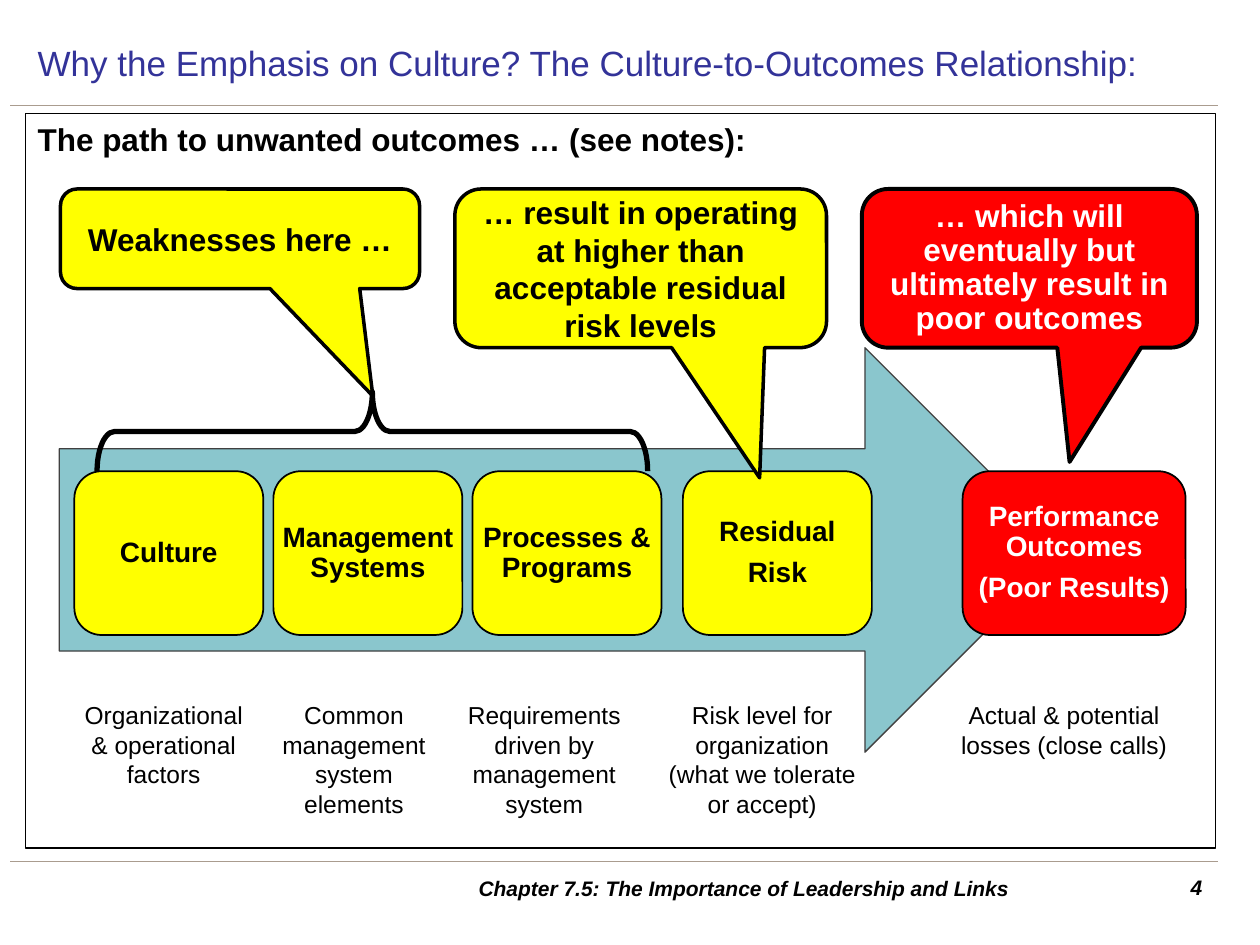
"""Build the culture-to-outcomes slide on a grid of 100 columns by 75 rows."""
from dataclasses import dataclass
from typing import Optional

from lxml.etree import SubElement
from pptx import Presentation
from pptx.dml.color import RGBColor
from pptx.enum.shapes import MSO_CONNECTOR as CONN, MSO_SHAPE as SHAPE
from pptx.enum.text import MSO_ANCHOR as ANCHOR, PP_ALIGN as ALIGN
from pptx.oxml.ns import qn
from pptx.util import Inches, Pt

CELL = Inches(0.1)


@dataclass(frozen=True)
class Theme:
    """Font, colours and type sizes."""
    font: str = "Arial"
    ink: str = "000000"
    white: str = "FFFFFF"
    title: str = "333399"
    rule: str = "AA9C8F"
    arrow: str = "8AC6CD"
    arrow_edge: str = "404040"
    cause: str = "FFFF00"
    outcome: str = "FF0000"
    title_pt: int = 20
    lead_pt: int = 18
    step_pt: int = 16
    caption_pt: int = 14
    footer_pt: int = 12


@dataclass(frozen=True)
class Box:
    """A frame in grid columns and rows."""
    col: float
    row: float
    cols: float
    rows: float

    def emu(self) -> list[int]:
        """Return left, top, width and height in EMU."""
        return [round(n * CELL) for n in (self.col, self.row, self.cols, self.rows)]


@dataclass(frozen=True)
class Style:
    """How a text is set, with its side margin in grid columns."""
    size: int
    color: str = Theme.ink
    bold: bool = False
    italic: bool = False
    align: ALIGN = ALIGN.CENTER
    anchor: ANCHOR = ANCHOR.MIDDLE
    tight: bool = False
    side: float = 1


@dataclass(frozen=True)
class Step:
    """A box on the arrow with the caption below it."""
    text: str
    col: float
    caption: str
    caption_col: float
    caption_cols: float
    cols: float = 15
    fill: str = Theme.cause
    color: str = Theme.ink


@dataclass(frozen=True)
class Callout:
    """A speech bubble whose tip is given as shares of its size."""
    text: str
    box: Box
    tip: tuple[float, float]
    fill: str = Theme.cause
    color: str = Theme.ink
    line: float = 2
    tight: bool = False
    side: float = 1


T = Theme()
STEPS = [
    Step("Culture", 5.9, "Organizational & operational factors", 5, 16),
    Step("Management Systems", 21.7, "Common management system elements", 20.1, 16),
    Step("Processes & Programs", 37.5, "Requirements driven by management system", 35.2, 16),
    Step("Residual\nRisk", 54.2,
         "Risk level for organization\n(what we tolerate or accept)", 51.2, 18.6),
    Step("Performance Outcomes\n(Poor Results)", 76.4,
         "Actual & potential losses (close calls)", 74.7, 19.5, 17.7, T.outcome, T.white),
]
CALLOUTS = [
    Callout("Weaknesses here …", Box(4.8, 15, 28.5, 7.9), (0.37, 1.58)),
    Callout("… result in operating at higher than acceptable residual risk levels",
            Box(36.1, 15, 29.5, 12.6), (0.32, 1.32)),
    Callout("… which will eventually but ultimately result in poor outcomes",
            Box(68.4, 15, 26.6, 12.6), (0.12, 1.22), T.outcome, T.white, 2.25, True, 0.4),
]


def set_text(sp, text: str, style: Style) -> None:
    """Write the paragraphs of a shape and format them."""
    tf = sp.text_frame
    tf.text = text
    tf.word_wrap = True
    tf.vertical_anchor = style.anchor
    tf.margin_left = tf.margin_right = round(style.side * CELL)
    if style.tight:
        tf.margin_top = tf.margin_bottom = round(0.4 * CELL)
    for p in tf.paragraphs:
        p.alignment = style.align
        if style.tight:
            p.line_spacing = 0.9
            p.space_after = Pt(0.4 * style.size)
        for r in p.runs:
            r.font.name, r.font.size = T.font, Pt(style.size)
            r.font.bold, r.font.italic = style.bold, style.italic
            r.font.color.rgb = RGBColor.from_string(style.color)


def add_text(slide, box: Box, text: str, style: Style) -> None:
    """Add a text box."""
    set_text(slide.shapes.add_textbox(*box.emu()), text, style)


def add_shape(slide, kind: SHAPE, box: Box, fill: Optional[str],
              line: float, edge: str = T.ink):
    """Add a preset shape with a plain outline and no shadow."""
    sp = slide.shapes.add_shape(kind, *box.emu())
    sp.shadow.inherit = False
    if fill:
        sp.fill.solid()
        sp.fill.fore_color.rgb = RGBColor.from_string(fill)
    else:
        sp.fill.background()
    sp.line.color.rgb = RGBColor.from_string(edge)
    sp.line.width = Pt(line)
    return sp


def add_rule(slide, row: float) -> None:
    """Add a horizontal rule across the slide."""
    left, top, width, _ = Box(0.8, row, 95.9, 0).emu()
    rule = slide.shapes.add_connector(CONN.STRAIGHT, left, top, left + width, top)
    rule.line.color.rgb = RGBColor.from_string(T.rule)
    rule.line.width = Pt(0.75)
    SubElement(rule._element.spPr, qn("a:effectLst"))


def add_step(slide, step: Step) -> None:
    """Add a step box and its caption."""
    sp = add_shape(slide, SHAPE.ROUNDED_RECTANGLE, Box(step.col, 37.4, step.cols, 13),
                   step.fill, 1)
    set_text(sp, step.text, Style(T.step_pt, step.color, bold=True, tight=True, side=0))
    add_text(slide, Box(step.caption_col, 55.1, step.caption_cols, 10.4), step.caption,
             Style(T.caption_pt, anchor=ANCHOR.TOP))


def add_callout(slide, callout: Callout) -> None:
    """Add a speech bubble."""
    sp = add_shape(slide, SHAPE.ROUNDED_RECTANGULAR_CALLOUT, callout.box,
                   callout.fill, callout.line)
    sp.adjustments[0], sp.adjustments[1] = callout.tip
    set_text(sp, callout.text, Style(T.lead_pt, callout.color, bold=True,
                                     tight=callout.tight, side=callout.side))


def main() -> None:
    """Build and save the slide."""
    prs = Presentation()
    prs.slide_width, prs.slide_height = 100 * CELL, 75 * CELL
    slide = prs.slides.add_slide(prs.slide_layouts[6])
    for row in (8.35, 68.35):
        add_rule(slide, row)
    panel = add_shape(slide, SHAPE.RECTANGLE, Box(2, 9, 94.5, 58.3), None, 0.75)
    set_text(panel, "The path to unwanted outcomes … (see notes):",
             Style(T.lead_pt, bold=True, align=ALIGN.LEFT, anchor=ANCHOR.TOP))
    add_text(slide, Box(2, 2, 94.5, 5.9),
             "Why the Emphasis on Culture? The Culture-to-Outcomes Relationship:",
             Style(T.title_pt, T.title, align=ALIGN.LEFT))
    add_shape(slide, SHAPE.RIGHT_ARROW, Box(4.7, 27.6, 80, 32.1), T.arrow, 0.75, T.arrow_edge)
    for step in STEPS:
        add_step(slide, step)
    add_text(slide, Box(29.5, 68.9, 59.1, 3.1),
             "Chapter 7.5: The Importance of Leadership and Links",
             Style(T.footer_pt, bold=True, italic=True))
    add_text(slide, Box(90.6, 68.9, 5.8, 3.1), "4",
             Style(T.footer_pt, bold=True, italic=True, align=ALIGN.RIGHT, anchor=ANCHOR.TOP))
    for callout in CALLOUTS:
        add_callout(slide, callout)
    brace = add_shape(slide, SHAPE.LEFT_BRACE, Box(26.4, 12.4, 6.3, 43.7), None, 3)
    brace.rotation = 90
    brace.adjustments[0], brace.adjustments[1] = 0.22, 0.5
    prs.save("out.pptx")


if __name__ == "__main__":
    main()
